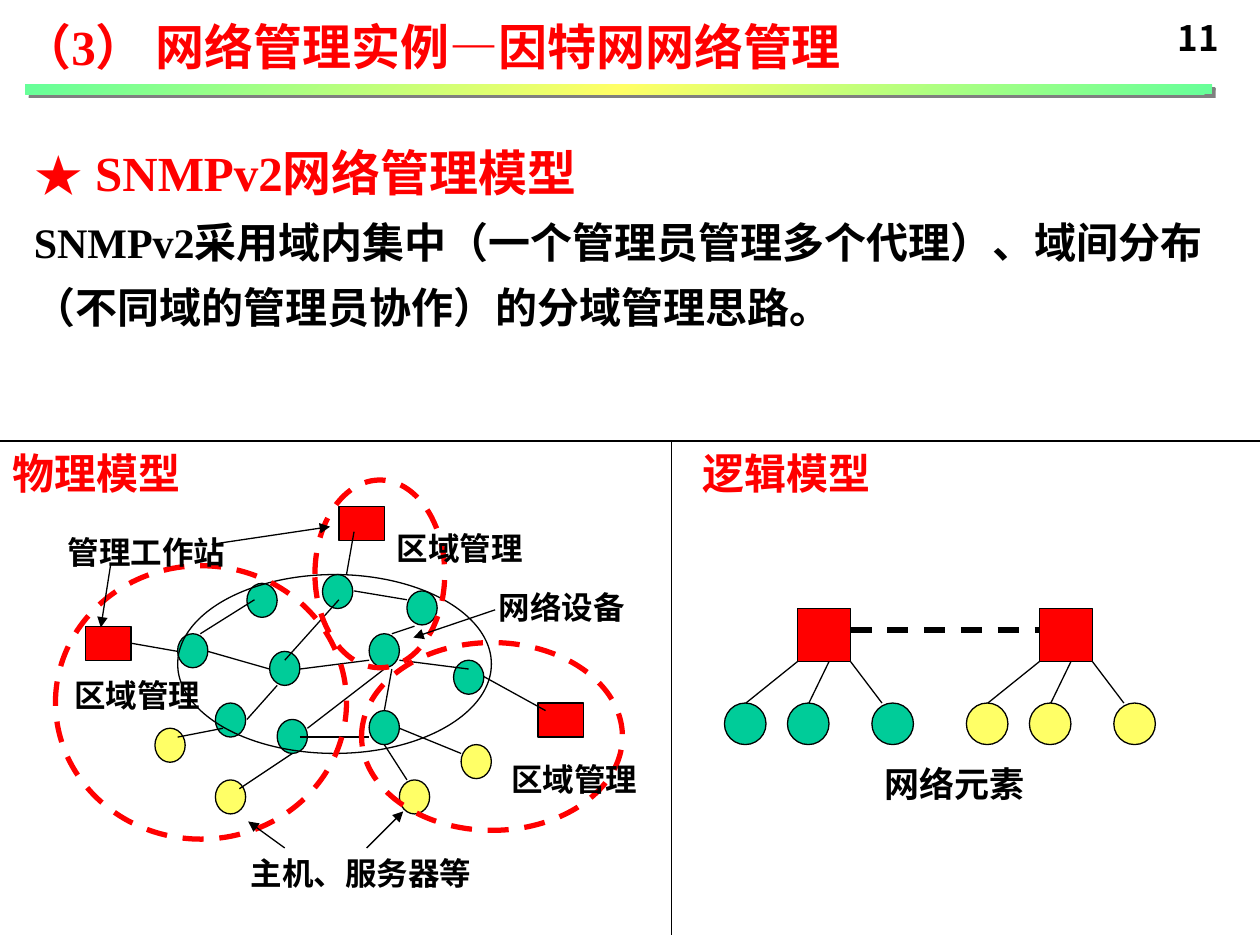
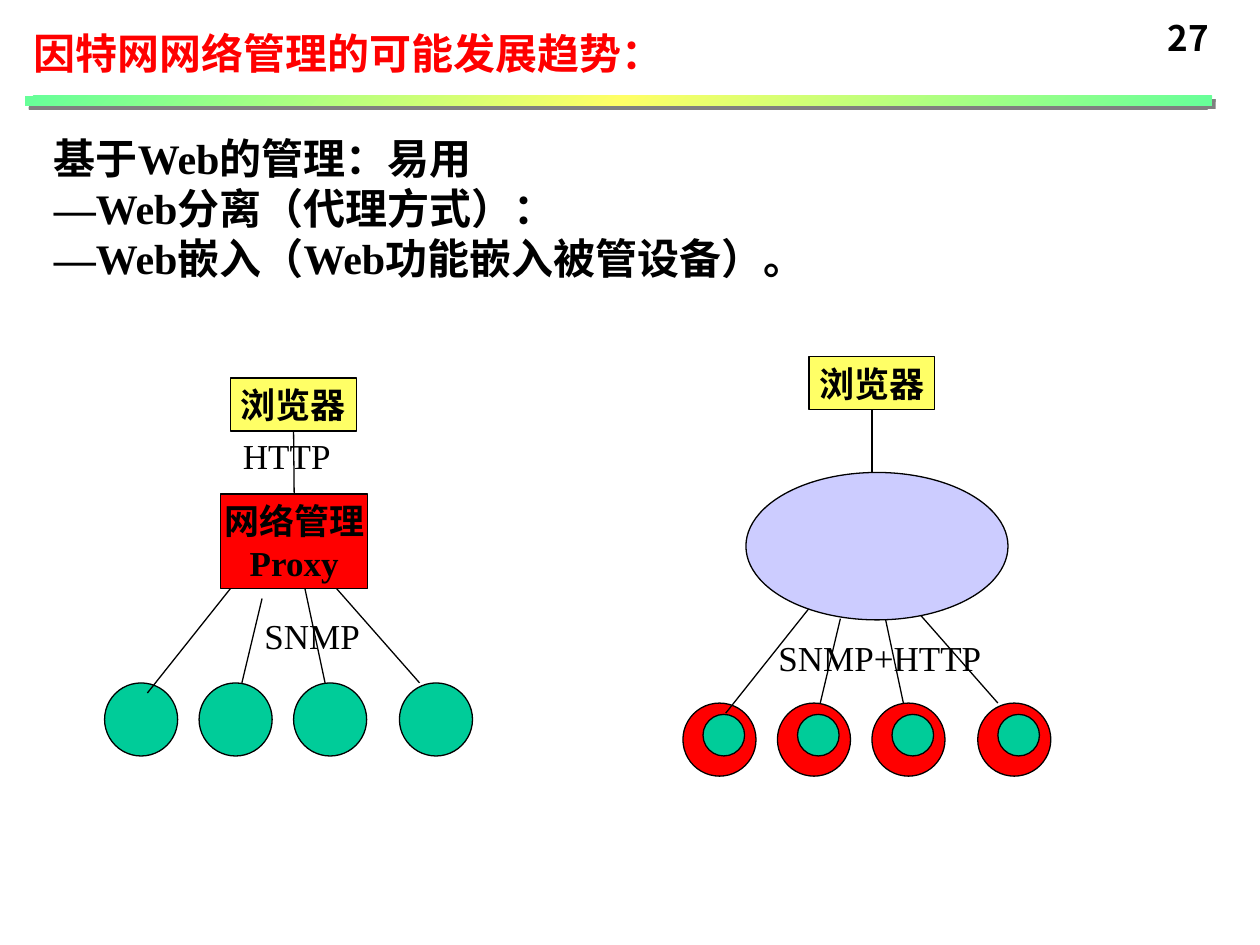
from lxml.etree import SubElement as Sub
from pptx import Presentation
from pptx.dml.color import RGBColor as Rgb
from pptx.enum.dml import MSO_LINE as Dash
from pptx.enum.shapes import MSO_CONNECTOR as Conn, MSO_SHAPE as Kind
from pptx.enum.text import MSO_ANCHOR as Anchor, MSO_AUTO_SIZE as Fit, PP_ALIGN as Align
from pptx.oxml.ns import qn
from pptx.util import Pt

PX = 9144
SERIF, SANS = "Times New Roman", "Noto Sans CJK SC"
RED = Rgb(0xFF, 0x00, 0x00)
BLACK = Rgb(0x00, 0x00, 0x00)
GREEN = Rgb(0x00, 0xCC, 0x99)
YELLOW = Rgb(0xFF, 0xFF, 0x66)
LILAC = Rgb(0xCC, 0xCC, 0xFF)
MINT = Rgb(0x66, 0xFF, 0x99)
GRAY = Rgb(0x80, 0x80, 0x80)

MODEL = [
    ("★ SNMPv2网络管理模型", 28, RED),
    ("SNMPv2采用域内集中（一个管理员管理多个代理）、域间分布"
     "（不同域的管理员协作）的分域管理思路。", 24, BLACK),
]
TREND = [
    ("基于Web的管理：易用", 24, BLACK),
    ("—Web分离（代理方式）：", 24, BLACK),
    ("—Web嵌入（Web功能嵌入被管设备）。", 24, BLACK),
]

NODE = (24, 27)
DEVICES = [(141, 503), (171, 558), (214, 517), (323, 469), (360, 524), (256, 456),
           (196, 463), (293, 564), (220, 571), (293, 503)]
HOSTS = [(123, 578), (317, 619), (171, 619), (366, 591)]
STATIONS = [(68, 497), (427, 558), (269, 402)]
CORE = (141, 456, 249, 142)
ZONES = [(287, 510, 207, 149), (44, 449, 231, 217), (250, 381, 103, 149)]
LINKS = [
    (165, 517, 214, 531), (196, 571, 220, 544), (159, 503, 202, 476),
    (244, 578, 305, 531), (238, 531, 293, 524), (317, 524, 372, 531),
    (311, 531, 305, 564), (238, 585, 293, 585), (269, 476, 226, 524),
    (281, 469, 323, 476), (329, 497, 311, 503), (305, 591, 323, 619),
    (317, 578, 366, 598), (177, 578, 141, 585), (232, 598, 190, 626),
    (281, 422, 275, 456), (384, 537, 433, 564),
]
NAMES = [
    ("区域管理", 49, 532, 121), ("区域管理", 396, 598, 121), ("区域管理", 305, 415, 121),
    ("主机、服务器等", 189, 673, 196), ("网络设备", 386, 462, 121), ("管理工作站", 44, 418, 146),
]
ARROWS = [(88, 447, 80, 498), (168, 432, 262, 418), (226, 673, 197, 652),
          (291, 673, 320, 644), (393, 484, 328, 506)]
RULES = [(533, 350, 533, 742), (0, 350, 1000, 350)]
HEADS = [("物理模型", 0), ("逻辑模型", 548)]

ROOTS = [(633, GREEN), (825, YELLOW)]
LEAVES = [-58, -8, 59]
BRANCHES = [(0, -41), (42, 67), (25, 9)]

BALLS = [0, 75, 150, 234]
RAYS = [(183, 467, 117, 550), (208, 475, 192, 542),
        (242, 467, 258, 542), (267, 467, 333, 542)]
SHIFT = (459, 16)


def style(par, text, size, color, bold=True, font=SERIF):
    par.text = text
    for run in par.runs:
        run.font.size, run.font.bold, run.font.name = Pt(size), bold, font
        run.font.color.rgb = color
        Sub(run._r.get_or_add_rPr(), qn("a:ea")).set("typeface", SANS)


def fill_text(frame, lines, **look):
    for i, line in enumerate(lines):
        par = frame.add_paragraph() if i else frame.paragraphs[0]
        style(par, *line, **look)


def label(slide, lines, x, y, w, h, wrap=False, space=None, **look):
    frame = slide.shapes.add_textbox(x * PX, y * PX, w * PX, h * PX).text_frame
    frame.word_wrap = wrap
    frame.auto_size = Fit.SHAPE_TO_FIT_TEXT
    fill_text(frame, lines, **look)
    if space:
        for par in frame.paragraphs:
            par.line_spacing = space


def shape(slide, kind, x, y, w, h, color=None, edge=BLACK, lines=()):
    item = slide.shapes.add_shape(kind, x * PX, y * PX, w * PX, h * PX)
    item.shadow.inherit = False
    if color is None:
        item.fill.background()
    else:
        item.fill.solid()
        item.fill.fore_color.rgb = color
    item.line.color.rgb = edge
    item.line.width = Pt(0.75)
    if lines:
        frame = item.text_frame
        frame.word_wrap = False
        frame.vertical_anchor = Anchor.MIDDLE
        fill_text(frame, lines)
        for par in frame.paragraphs:
            par.alignment = Align.CENTER
    return item


def dash(item):
    item.line.width = Pt(3)
    item.line.dash_style = Dash.DASH


def line(slide, x1, y1, x2, y2, arrow=False):
    item = slide.shapes.add_connector(Conn.STRAIGHT, x1 * PX, y1 * PX, x2 * PX, y2 * PX)
    item.line.color.rgb = BLACK
    item.line.width = Pt(0.75)
    if arrow:
        Sub(item.line._get_or_add_ln(), qn("a:tailEnd")).set("type", "triangle")
    Sub(item._element.spPr, qn("a:effectLst"))
    return item


def tint(node, color):
    Sub(node, qn("a:srgbClr")).set("val", str(color))


def band(slide, y):
    bar = shape(slide, Kind.RECTANGLE, 20, y, 942, 8)
    bar.line.fill.background()
    bar.fill.gradient()
    bar.fill.gradient_angle = 315
    stops = bar._element.spPr.find(".//" + qn("a:gsLst"))
    for old in list(stops):
        stops.remove(old)
    for pos, color in [(0, MINT), (50000, YELLOW), (100000, MINT)]:
        stop = Sub(stops, qn("a:gs"))
        stop.set("pos", str(pos))
        tint(stop, color)
    shade = Sub(bar._element.spPr.find(qn("a:effectLst")), qn("a:outerShdw"))
    for key, val in [("blurRad", 0), ("dist", Pt(2.8)), ("dir", 2700000)]:
        shade.set(key, str(int(val)))
    tint(shade, GRAY)


def frame_up(deck, title, size, box, bar, number, left):
    slide = deck.slides.add_slide(deck.slide_layouts[6])
    band(slide, bar)
    label(slide, [(title, size, RED)], *box, wrap=True)
    label(slide, [(number, 20, BLACK)], left, 8, 73, 43, wrap=True, font=SANS)
    return slide


def draw_net(slide):
    for x, y in DEVICES:
        shape(slide, Kind.OVAL, x, y, *NODE, GREEN)
    shape(slide, Kind.OVAL, *CORE)
    for x, y in HOSTS:
        shape(slide, Kind.OVAL, x, y, *NODE, YELLOW)
    posts = [shape(slide, Kind.RECTANGLE, x, y, 36, 27, RED) for x, y in STATIONS]
    for link in LINKS:
        line(slide, *link)
    line(slide, 104, 510, 141, 517).begin_connect(posts[0], 3)
    for zone in ZONES:
        dash(shape(slide, Kind.OVAL, *zone, edge=RED))
    for text, x, y, w in NAMES:
        label(slide, [(text, 18, BLACK)], x, y, w, 40)
    for arrow in ARROWS:
        line(slide, *arrow, arrow=True)


def draw_logic(slide):
    for x, color in ROOTS:
        shape(slide, Kind.RECTANGLE, x, 483, 42, 42, RED)
        for dx in LEAVES:
            shape(slide, Kind.OVAL, x + dx, 558, 33, 33, color)
        for top, end in BRANCHES:
            line(slide, x + top, 525, x + end, 558)
    dash(line(slide, 675, 500, 825, 500))
    label(slide, [("网络元素", 20, BLACK)], 692, 600, 132, 43)


def draw_balls(slide, x, y, size, color):
    for dx in BALLS:
        shape(slide, Kind.OVAL, x + dx, y, size, size, color)


def draw_rays(slide, dx=0, dy=0):
    for x1, y1, x2, y2 in RAYS:
        line(slide, x1 + dx, y1 + dy, x2 + dx, y2 + dy)


def browser(slide, x, y):
    return shape(slide, Kind.RECTANGLE, x, y, 100, 42, YELLOW,
                 lines=[("浏览器", 20, BLACK)])


def note(slide, text, x, y, w):
    label(slide, [(text, 20, BLACK)], x, y, w, 43, bold=False)


def draw_proxy(slide):
    top = browser(slide, 183, 300)
    proxy = shape(slide, Kind.RECTANGLE, 175, 392, 117, 75, RED,
                  lines=[("网络管理", 20, BLACK), ("Proxy", 20, BLACK)])
    draw_balls(slide, 83, 542, 58, GREEN)
    draw_rays(slide)
    wire = line(slide, 233, 342, 233, 392)
    wire.begin_connect(top, 2)
    wire.end_connect(proxy, 0)
    note(slide, "HTTP", 183, 340, 90)
    note(slide, "SNMP", 200, 483, 96)


def draw_embed(slide):
    top = browser(slide, 642, 283)
    draw_balls(slide, 542, 558, 58, RED)
    draw_rays(slide, *SHIFT)
    line(slide, 692, 325, 692, 375).begin_connect(top, 2)
    note(slide, "SNMP+HTTP", 608, 500, 181)
    shape(slide, Kind.OVAL, 592, 375, 208, 117, LILAC)
    draw_balls(slide, 558, 567, 33, GREEN)


def main():
    deck = Presentation()
    deck.slide_width, deck.slide_height = 1000 * PX, 750 * PX

    slide = frame_up(deck, "（3） 网络管理实例—因特网网络管理", 28,
                     (8, 8, 759, 57), 67, "11", 925)
    label(slide, MODEL, 17, 94, 958, 176, wrap=True, space=1.3)
    draw_net(slide)
    for rule in RULES:
        line(slide, *rule)
    for text, x in HEADS:
        label(slide, [(text, 24, RED)], x, 350, 154, 50)
    draw_logic(slide)

    slide = frame_up(deck, "因特网网络管理的可能发展趋势：", 24,
                     (17, 17, 525, 50), 76, "27", 917)
    label(slide, TREND, 33, 100, 900, 130, wrap=True)
    draw_proxy(slide)
    draw_embed(slide)

    deck.save("out.pptx")


if __name__ == "__main__":
    main()
